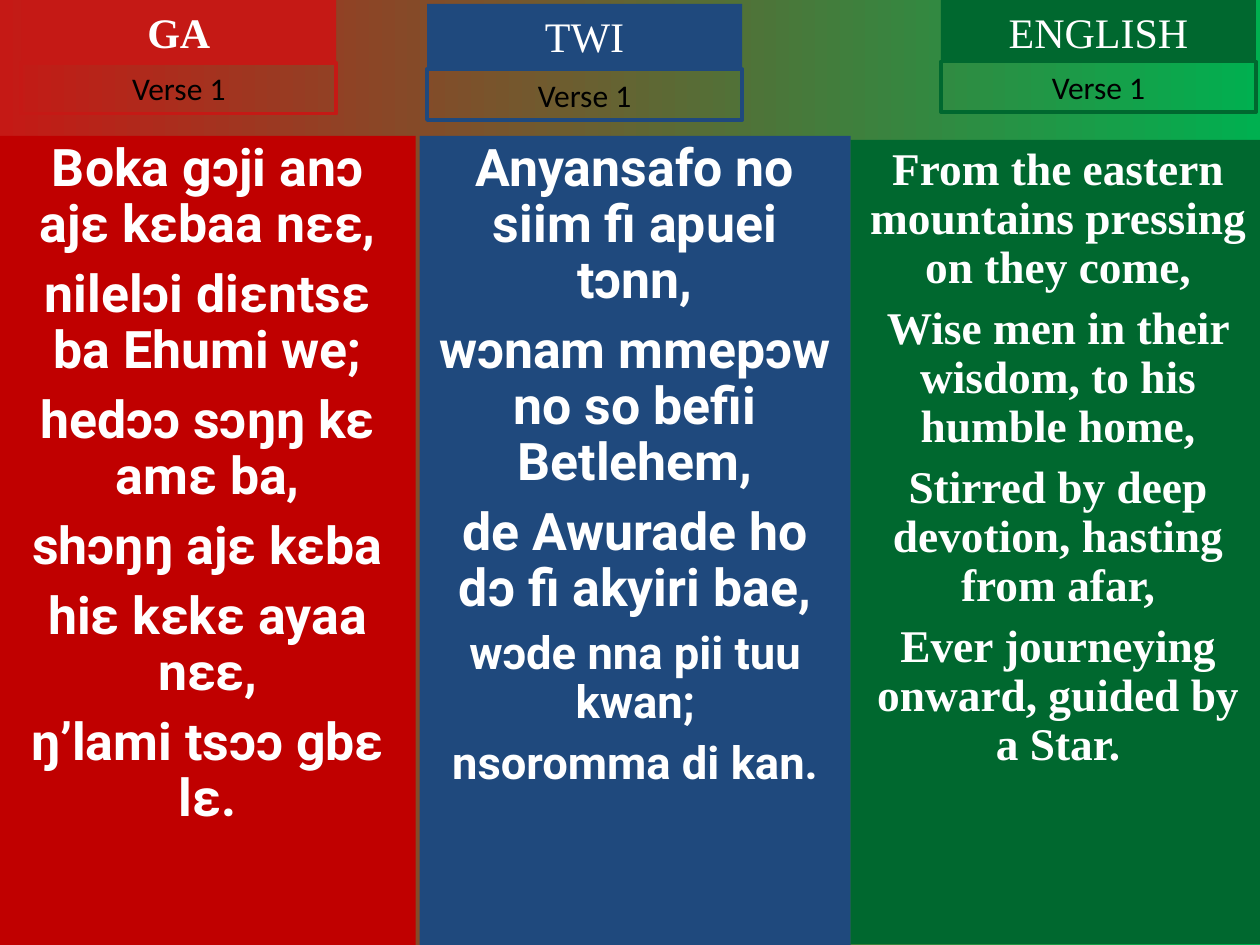
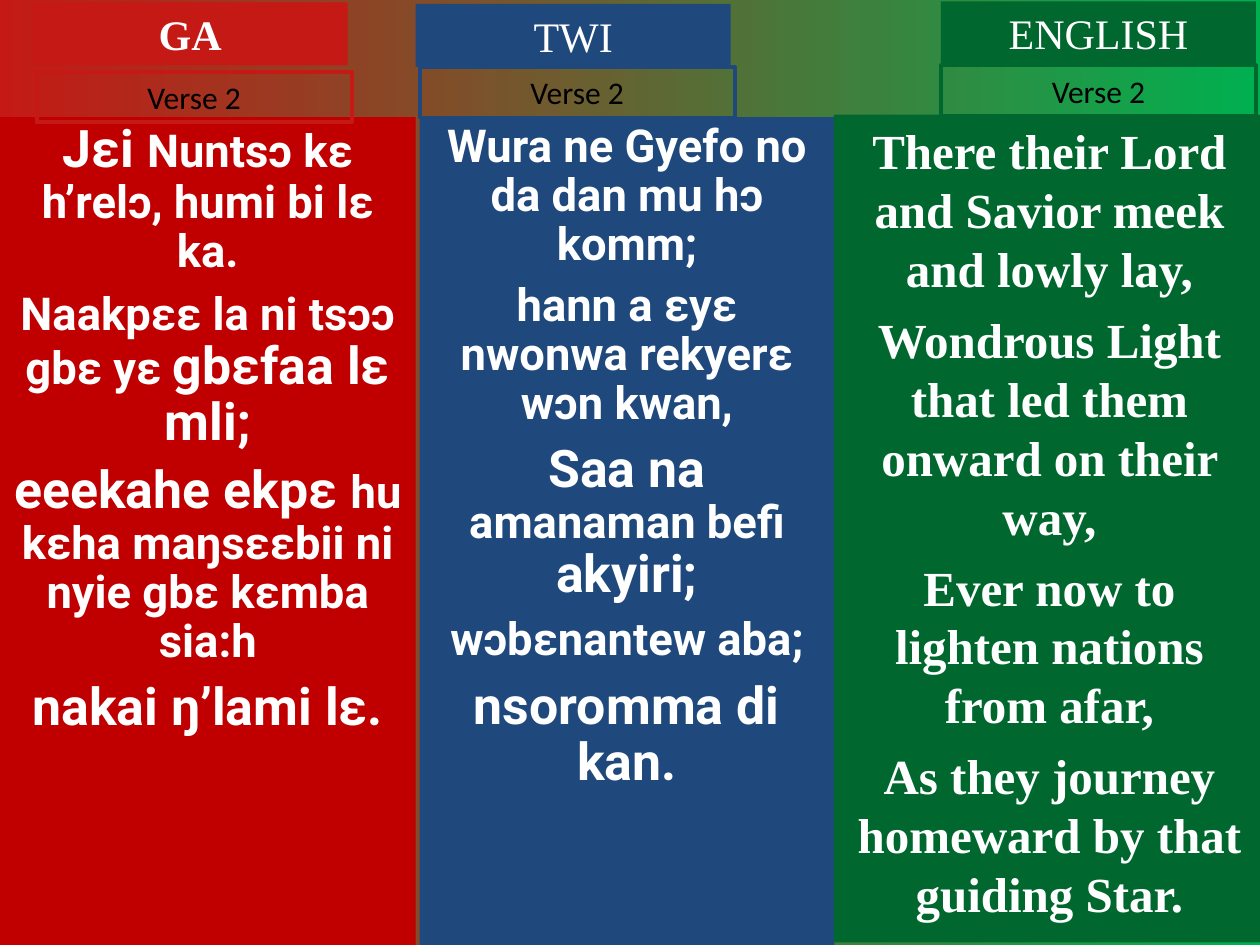
from pptx import Presentation
from pptx.dml.color import RGBColor
from pptx.enum.shapes import MSO_SHAPE
from pptx.enum.text import MSO_ANCHOR, PP_ALIGN
from pptx.util import Cm, Pt

LARGE, MEDIUM, SMALL = 29.6, 28, 25.9
SERIF, SANS, LABEL = "Times New Roman", "Roboto", "Calibri"
WHITE, BLACK = "FFFFFF", "000000"
BACKDROP = ("C51915", "00B050")
HEADING_SIZE = (6.35, 1.27)
VERSE_SIZE = (6.35, 1.02)

LANGUAGES = {
    "GA": dict(accent="C51915", panel="C00000", font=SANS, bold=True),
    "TWI": dict(accent="1F497D", panel="1F497D", font=SANS, bold=False),
    "ENGLISH": dict(accent="00682F", panel="00682F", font=SERIF, bold=False),
}

VERSES = [
    {
        "GA": dict(
            panel=(0, 2.74, 8.38, 16.31), heading=(0.43, 0), verse=(0.43, 1.27), spacing=0.9,
            lyrics=[
                [("Boka gɔji anɔ ajɛ kɛbaa nɛɛ,", LARGE)],
                [("nilelɔi diɛntsɛ ba Ehumi we;", LARGE)],
                [("hedɔɔ sɔŋŋ kɛ amɛ ba,", LARGE)],
                [("shɔŋŋ ajɛ kɛba", LARGE)],
                [("hiɛ kɛkɛ ayaa nɛɛ,", LARGE)],
                [("ŋ’lami tsɔɔ gbɛ lɛ.", LARGE)],
            ]),
        "TWI": dict(
            panel=(8.46, 2.74, 8.69, 16.31), heading=(8.61, 0.08), verse=(8.61, 1.4), spacing=0.9,
            lyrics=[
                [("Anyansafo no siim fi apuei tɔnn,", LARGE)],
                [("wɔnam mmepɔw no so befii Betlehem,", LARGE)],
                [("de Awurade ho dɔ fi akyiri bae,", LARGE)],
                [("wɔde nna pii tuu kwan;", SMALL)],
                [("nsoromma di kan.", SMALL)],
            ]),
        "ENGLISH": dict(
            panel=(17.15, 2.82, 8.36, 16.21), heading=(18.97, 0), verse=(18.97, 1.24), spacing=0.9,
            lyrics=[
                [("From the eastern mountains pressing on they come,", SMALL)],
                [("Wise men in their wisdom, to his humble home,", SMALL)],
                [("Stirred by deep devotion, hasting from afar,", SMALL)],
                [("Ever journeying onward, guided by a Star.", SMALL)],
            ]),
    },
    {
        "GA": dict(
            panel=(0, 2.36, 8.38, 16.69), heading=(0.66, 0.05), verse=(0.74, 1.45), spacing=0.9,
            lyrics=[
                [("Jɛi ", LARGE), ("Nuntsɔ kɛ h’relɔ, humi bi lɛ ka.", SMALL)],
                [("Naakpɛɛ la ni tsɔɔ gbɛ yɛ ", SMALL), ("gbɛfaa lɛ mli;", LARGE)],
                [("eeekahe ekpɛ ", LARGE),
                 ("hu kɛha maŋsɛɛbii ni nyie gbɛ kɛmba sia:h", SMALL)],
                [("nakai ŋ’lami lɛ.", LARGE)],
            ]),
        "TWI": dict(
            panel=(8.46, 2.36, 8.36, 16.69), heading=(8.38, 0.08), verse=(8.46, 1.35), spacing=0.9,
            lyrics=[
                [("Wura ne Gyefo no da dan mu hɔ komm;", SMALL)],
                [("hann a ɛyɛ nwonwa rekyerɛ wɔn kwan,", SMALL)],
                [("Saa na ", LARGE), ("amanaman befi ", SMALL), ("akyiri;", LARGE)],
                [("wɔbɛnantew aba;", SMALL)],
                [("nsoromma di kan.", LARGE)],
            ]),
        "ENGLISH": dict(
            panel=(16.81, 2.31, 8.69, 16.69), heading=(18.97, 0.03), verse=(18.97, 1.32), spacing=1.0,
            lyrics=[
                [("There their Lord and Savior meek and lowly lay,", MEDIUM)],
                [("Wondrous Light that led them onward on their way,", MEDIUM)],
                [("Ever now to lighten nations from afar,", MEDIUM)],
                [("As they journey homeward by that guiding Star.", MEDIUM)],
            ]),
    },
]


def color(code):
    return RGBColor.from_string(code)


def add_box(slide, place, fill=None, line=None):
    box = slide.shapes.add_shape(MSO_SHAPE.RECTANGLE, *map(Cm, place))
    box.shadow.inherit = False
    if fill:
        box.fill.solid()
        box.fill.fore_color.rgb = color(fill)
    else:
        box.fill.background()
    if line:
        box.line.color.rgb = color(line)
        box.line.width = Pt(2.25)
    else:
        box.line.fill.background()
    return box


def write(box, lines, *, font, ink=WHITE, bold=False, spacing=1.0):
    frame = box.text_frame
    frame.word_wrap = True
    frame.vertical_anchor = MSO_ANCHOR.TOP
    for number, phrases in enumerate(lines):
        paragraph = frame.add_paragraph() if number else frame.paragraphs[0]
        paragraph.alignment = PP_ALIGN.CENTER
        paragraph.line_spacing = spacing
        if number:
            paragraph.space_before = Pt(8 if phrases[-1][1] == LARGE else 7)
        for words, size in phrases:
            run = paragraph.add_run()
            run.text = words
            run.font.name = font
            run.font.size = Pt(size)
            run.font.bold = bold
            run.font.color.rgb = color(ink)


def add_column(slide, language, verse_number, column):
    style = LANGUAGES[language]
    panel = add_box(slide, column["panel"], fill=style["panel"])
    write(panel, column["lyrics"], font=style["font"], bold=True, spacing=column["spacing"])
    heading = add_box(slide, column["heading"] + HEADING_SIZE, fill=style["accent"])
    write(heading, [[(language, 24)]], font=SERIF, bold=style["bold"])
    verse = add_box(slide, column["verse"] + VERSE_SIZE, line=style["accent"])
    write(verse, [[(f"Verse {verse_number}", 18)]], font=LABEL, ink=BLACK)


def paint_backdrop(master):
    fill = master.background.fill
    fill.gradient()
    fill.gradient_angle = 0
    for stop, code in zip(fill.gradient_stops, BACKDROP):
        stop.color.rgb = color(code)


def main():
    deck = Presentation()
    deck.slide_width, deck.slide_height = Cm(25.4), Cm(19.05)
    paint_backdrop(deck.slide_master)
    blank = deck.slide_layouts.get_by_name("Blank")
    for verse_number, columns in enumerate(VERSES, start=1):
        slide = deck.slides.add_slide(blank)
        for language, column in columns.items():
            add_column(slide, language, verse_number, column)
    deck.save("out.pptx")


if __name__ == "__main__":
    main()
